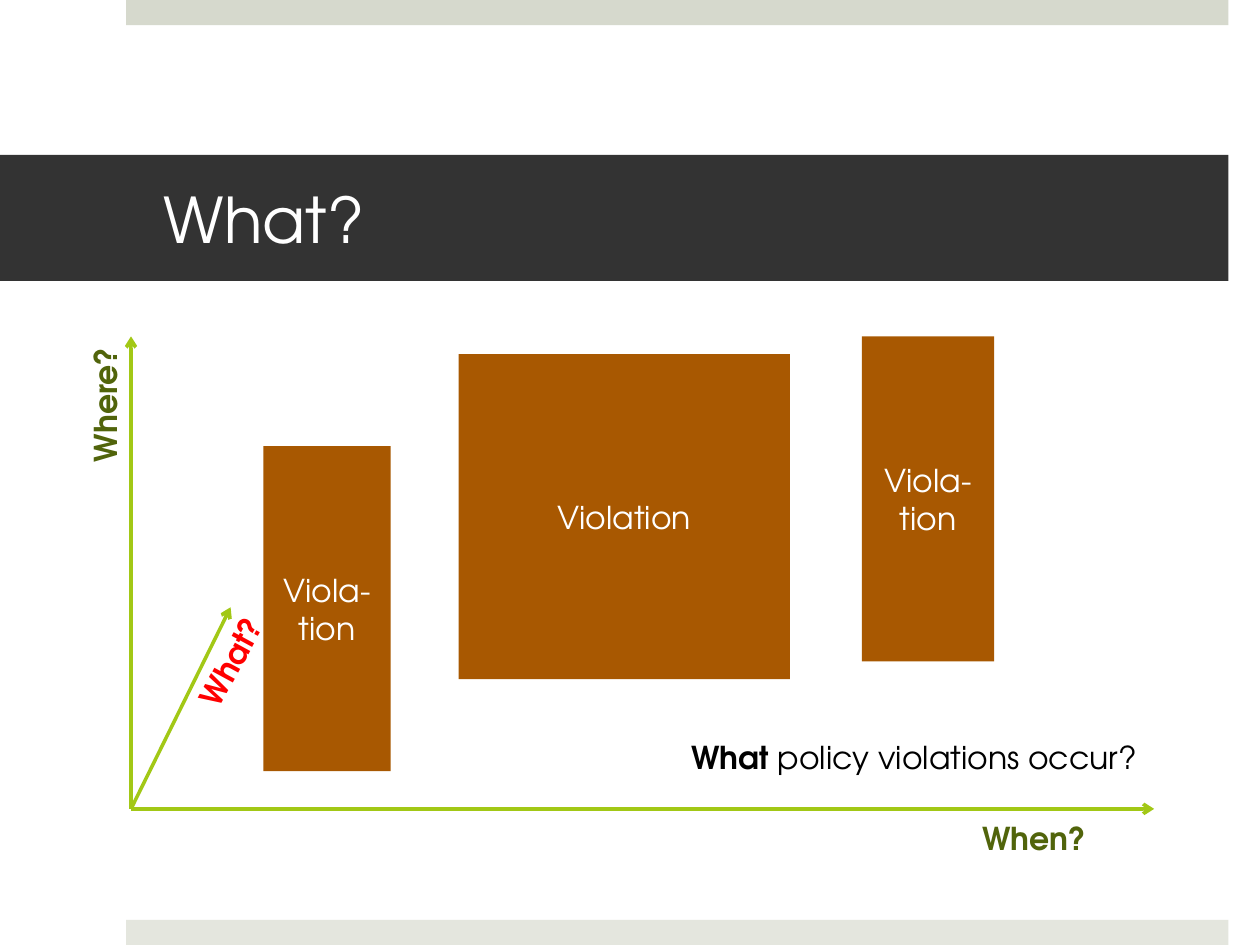
import pptx
import pptx.dml.color
import pptx.enum.shapes
import pptx.enum.text
import pptx.oxml.ns
import pptx.util
from lxml import etree

PX = 9144
FONT = "TeX Gyre Adventor"
ANCHOR = pptx.enum.text.MSO_ANCHOR
ALIGN = pptx.enum.text.PP_ALIGN
RECT = pptx.enum.shapes.MSO_SHAPE.RECTANGLE
STRAIGHT = pptx.enum.shapes.MSO_CONNECTOR.STRAIGHT


def px(*lengths):
    return [pptx.util.Emu(n * PX) for n in lengths]


def rgb(value):
    return pptx.dml.color.RGBColor.from_string(value)


def set_attrs(obj, values):
    for name, value in values.items():
        setattr(obj, name, value)


def place(box, x, y):
    return box[0] + x, box[1] + y


def paint(sp, color):
    sp.fill.solid()
    sp.fill.fore_color.rgb = rgb(color)
    sp.line.fill.background()


def add_rect(s, x, y, w, h, color):
    sp = s.shapes.add_shape(RECT, *px(x, y, w, h))
    sp.shadow.inherit = False
    paint(sp, color)
    return sp


def add_runs(p, runs, size, color):
    for text, bold in runs:
        r = p.add_run()
        r.text = text
        set_attrs(r.font, {"name": FONT, "size": pptx.util.Pt(size), "bold": bold})
        r.font.color.rgb = rgb(color)


def add_label(s, x, y, w, h, runs, color, rotation=0):
    sp = s.shapes.add_textbox(*px(x, y, w, h))
    sp.rotation = rotation
    set_attrs(sp.text_frame, {
        "word_wrap": False,
        "auto_size": pptx.enum.text.MSO_AUTO_SIZE.SHAPE_TO_FIT_TEXT,
    })
    add_runs(sp.text_frame.paragraphs[0], runs, 18, color)


def add_arrow(s, start, end):
    sp = s.shapes.add_connector(STRAIGHT, *px(*start, *end))
    sp.line.width = pptx.util.Pt(2)
    sp.line.color.rgb = rgb("A2C816")
    qn = pptx.oxml.ns.qn
    etree.SubElement(sp.line._get_or_add_ln(), qn("a:tailEnd"), type="arrow")
    etree.SubElement(sp._element.spPr, qn("a:effectLst"))


def edge_bands(s, box):
    x, y, w, h = box
    thick = 20
    add_rect(s, x, y, w, thick, "D6D9CD")
    add_rect(s, x, y + h - thick, w, thick, "E4E6DE")


def title_band(s, box, text):
    sp = s.shapes.title
    set_attrs(sp, dict(zip(("left", "top", "width", "height"), px(*box))))
    paint(sp, "333333")
    tf = sp.text_frame
    margins = ("margin_left", "margin_top", "margin_right", "margin_bottom")
    set_attrs(tf, dict(zip(margins, px(130, 5, 30, 5))))
    set_attrs(tf, {
        "vertical_anchor": ANCHOR.MIDDLE,
        "word_wrap": True,
        "auto_size": pptx.enum.text.MSO_AUTO_SIZE.NONE,
    })
    p = tf.paragraphs[0]
    p.alignment = ALIGN.LEFT
    add_runs(p, [(text, False)], 36, "FFFFFF")


def axes(s, box):
    w, h = box[2:]
    origin = place(box, 0, h)
    for end in ((0, 0), (w, h), (79, 215)):
        add_arrow(s, origin, place(box, *end))


def violations(s, box):
    blocks = [
        (105, 87, 101, "Viola-tion"),
        (260, 14, 263, "Violation"),
        (580, 0, 105, "Viola-tion"),
    ]
    for x, y, w, text in blocks:
        sp = add_rect(s, *place(box, x, y), w, 258, "A85801")
        tf = sp.text_frame
        set_attrs(tf, {"vertical_anchor": ANCHOR.MIDDLE, "word_wrap": True})
        p = tf.paragraphs[0]
        p.alignment = ALIGN.CENTER
        add_runs(p, [(text, False)], 18, "FFFFFF")


def labels(s, box):
    question = [("What", True), (" policy violations occur?", False)]
    for x, y, w, runs, color, rotation in [
        (435, 314, 377, question, "000000", 0),
        (666, 378, 107, [("When?", True)], "51640B", 0),
        (-77, 33, 113, [("Where?", True)], "51640B", 270),
        (31, 238, 96, [("What?", True)], "FF0000", 298.5),
    ]:
        add_label(s, *place(box, x, y), w, 40, runs, color, rotation)


def main():
    prs = pptx.Presentation()
    prs.slide_width, prs.slide_height = px(1000, 750)
    s = prs.slides.add_slide(prs.slide_layouts[5])
    chart = (104, 267, 812, 375)
    edge_bands(s, (100, 0, 875, 750))
    title_band(s, (0, 123, 975, 100), "What?")
    axes(s, chart)
    violations(s, chart)
    labels(s, chart)
    prs.save("out.pptx")


if __name__ == "__main__":
    main()
